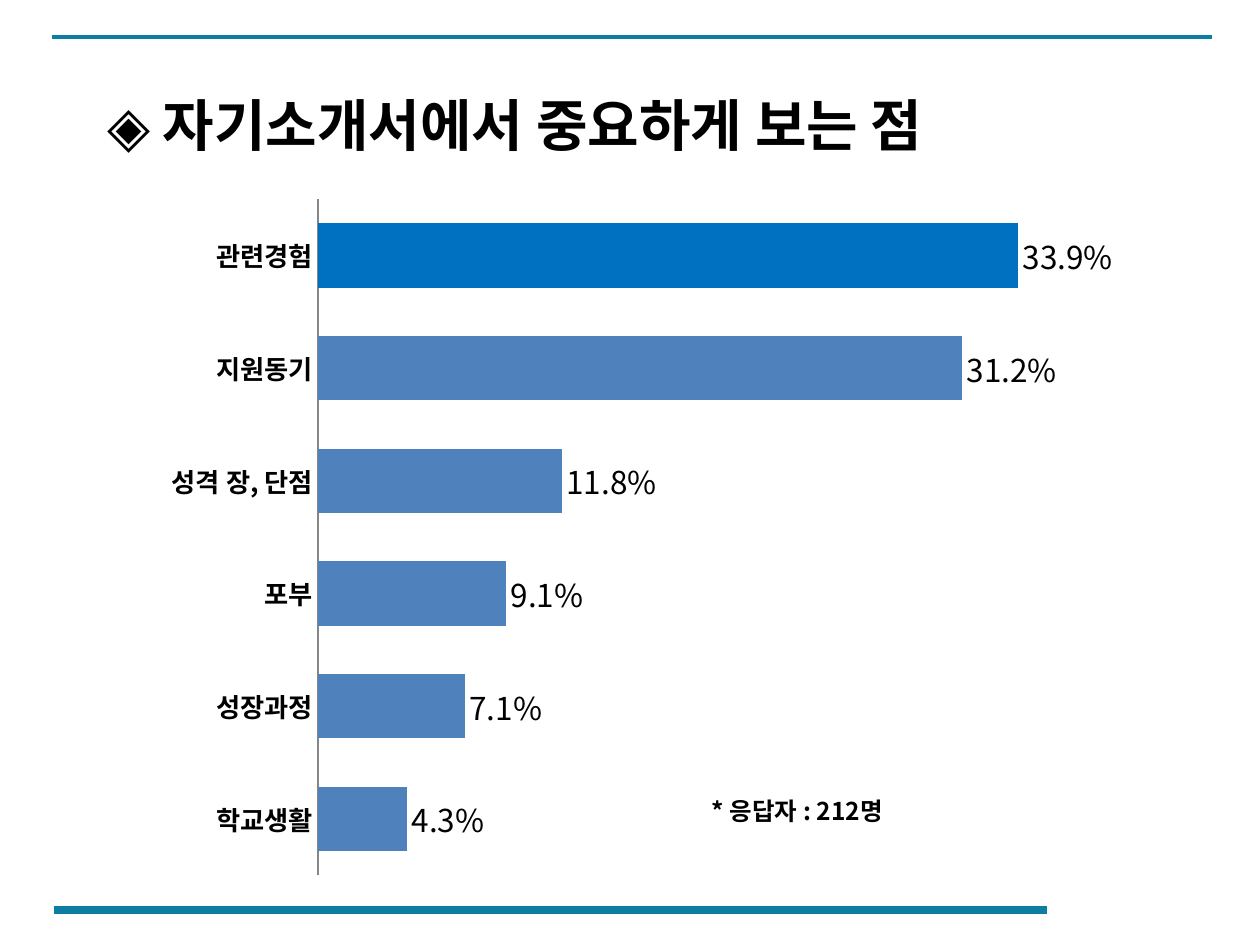
"""Build a slide with a bar chart of what matters in a cover letter."""
from dataclasses import dataclass

from lxml import etree
from pptx import Presentation, util as u
from pptx.chart.data import CategoryChartData
from pptx.dml.color import RGBColor
from pptx.enum import chart as ch, shapes, text
from pptx.oxml.ns import qn

W, H = u.Inches(10), u.Inches(7.5)
FONT = "Noto Sans CJK KR"
BLACK, TEAL, BLUE, STRONG, GRAY = "000000", "0C7EA2", "4F81BD", "0070C0", "868686"


@dataclass
class Box:
    """A place on the slide, in shares of its width and height."""
    x: float
    y: float
    w: float
    h: float

    def emu(self) -> tuple[int, int, int, int]:
        """Return left, top, width and height as lengths."""
        return int(self.x * W), int(self.y * H), int(self.w * W), int(self.h * H)


@dataclass
class Rule:
    """A horizontal line across part of the slide."""
    x1: float
    x2: float
    y: float
    weight: float


@dataclass
class Bar:
    """One category with its share of the answers."""
    label: str
    value: float
    color: str = BLUE


RULES = [Rule(0.041, 0.962, 0.0387, 2.25), Rule(0.043, 0.831, 0.9627, 4.5)]
BARS = [
    Bar("학교생활", 0.043),
    Bar("성장과정", 0.071),
    Bar("포부", 0.091),
    Bar("성격 장, 단점", 0.118),
    Bar("지원동기", 0.312),
    Bar("관련경험", 0.339, STRONG),
]
TITLE_BOX = Box(0.075, 0.0533, 0.795, 0.1213)
CHART_BOX = Box(0.105, 0.196, 0.819, 0.7453)
NOTE_BOX = Box(0.555, 0.836, 0.173, 0.0413)
PLOT = {"x": 0.18, "y": 0.02, "w": 0.8, "h": 0.96}


def rgb(color: str) -> RGBColor:
    """Turn a hex string into a colour."""
    return RGBColor.from_string(color)


def style(font, size: float, bold: bool = False) -> None:
    """Set size, weight, colour and the Latin and East Asian typeface."""
    font.size, font.bold = u.Pt(size), bold
    font.color.rgb = rgb(BLACK)
    font.name = FONT
    etree.SubElement(font._rPr, qn("a:ea"), typeface=FONT)


def write(sp, words: str, size: float, spacing: float = 1.0) -> None:
    """Write one bold left-aligned line into a shape."""
    tf = sp.text_frame
    tf.word_wrap = True
    tf.vertical_anchor = text.MSO_ANCHOR.TOP
    p = tf.paragraphs[0]
    p.alignment, p.line_spacing = text.PP_ALIGN.LEFT, spacing
    r = p.add_run()
    r.text = words
    style(r.font, size, True)


def draw_rule(s, rule: Rule) -> None:
    """Draw a flat horizontal line."""
    y = int(rule.y * H)
    line = s.shapes.add_connector(
        shapes.MSO_CONNECTOR.STRAIGHT, int(rule.x1 * W), y, int(rule.x2 * W), y)
    line.line.color.rgb = rgb(TEAL)
    line.line.width = u.Pt(rule.weight)
    etree.SubElement(line._element.spPr, qn("a:effectLst"))


def place_plot(chart) -> None:
    """Fix the inner plot area within the chart."""
    area = chart._chartSpace.chart.plotArea
    for old in area.findall(qn("c:layout")):
        area.remove(old)
    layout = etree.Element(qn("c:layout"))
    area.insert(0, layout)
    manual = etree.SubElement(layout, qn("c:manualLayout"))
    entries = {"layoutTarget": "inner", "xMode": "edge", "yMode": "edge", **PLOT}
    for tag, value in entries.items():
        etree.SubElement(manual, qn(f"c:{tag}"), val=str(value))


def draw_chart(s, bars: list[Bar], box: Box) -> None:
    """Draw the labelled horizontal bars."""
    data = CategoryChartData(number_format="0.0%")
    data.categories = [bar.label for bar in bars]
    data.add_series("Series 1", [bar.value for bar in bars])
    chart = s.shapes.add_chart(ch.XL_CHART_TYPE.BAR_CLUSTERED, *box.emu(), data).chart
    chart.has_legend = chart.has_title = False
    style(chart.font, 18)

    cat, val = chart.category_axis, chart.value_axis
    cat.major_tick_mark = cat.minor_tick_mark = ch.XL_TICK_MARK.NONE
    cat.format.line.color.rgb = rgb(GRAY)
    cat.format.line.width = u.Pt(0.75)
    style(cat.tick_labels.font, 15, True)
    val.minimum_scale, val.maximum_scale = 0, 0.4
    val.has_major_gridlines = val.visible = False
    val.tick_labels.number_format = "0.0%"
    val.tick_labels.number_format_is_linked = False

    plot = chart.plots[0]
    plot.gap_width, plot.overlap, plot.vary_by_categories = 75, -25, False
    series = plot.series[0]
    series.format.fill.solid()
    series.format.fill.fore_color.rgb = rgb(BLUE)
    for i, bar in enumerate(bars):
        if bar.color != BLUE:
            fill = series.points[i].format.fill
            fill.solid()
            fill.fore_color.rgb = rgb(bar.color)
    labels = series.data_labels
    labels.show_value = True
    labels.number_format, labels.number_format_is_linked = "0.0%", False
    labels.position = ch.XL_LABEL_POSITION.OUTSIDE_END
    style(labels.font, 18)
    place_plot(chart)


def main() -> None:
    """Build and save the slide."""
    prs = Presentation()
    prs.slide_width, prs.slide_height = W, H
    s = prs.slides.add_slide(prs.slide_layouts[5])
    for rule in RULES:
        draw_rule(s, rule)
    title = s.shapes.title
    title.left, title.top, title.width, title.height = TITLE_BOX.emu()
    write(title, "◈ 자기소개서에서 중요하게 보는 점", 32, 1.5)
    title.text_frame.auto_size = text.MSO_AUTO_SIZE.SHAPE_TO_FIT_TEXT
    draw_chart(s, BARS, CHART_BOX)
    write(s.shapes.add_textbox(*NOTE_BOX.emu()), "* 응답자 : 212명", 14)
    prs.save("out.pptx")


if __name__ == "__main__":
    main()
